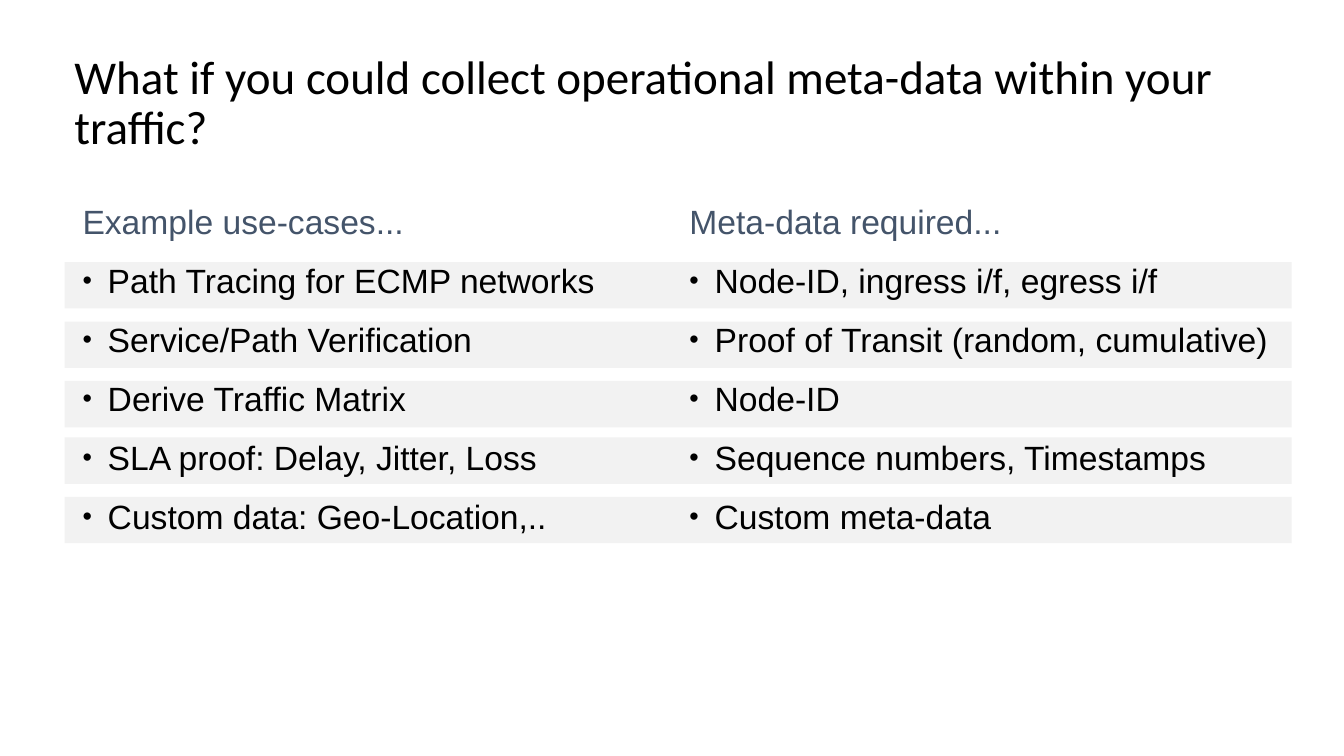
import pptx
import pptx.util
import pptx.dml.color
import pptx.enum.shapes
import pptx.enum.text
import pptx.oxml.ns
from lxml import etree
from pptx.util import Inches

COLORS = {"band": "F2F2F2", "heading": "44546A", "text": "000000"}
LEFT, WIDTH = 0.64, 12.17
BAND_TOPS = (2.6, 3.19, 3.78, 4.34, 4.93)
USE_CASES = (
    "Path Tracing for ECMP networks",
    "Service/Path Verification",
    "Derive Traffic Matrix",
    "SLA proof: Delay, Jitter, Loss",
    "Custom data: Geo-Location,..",
)
META_DATA = (
    "Node-ID, ingress i/f, egress i/f",
    "Proof of Transit (random, cumulative)",
    "Node-ID",
    "Sequence numbers, Timestamps",
    "Custom meta-data",
)


def rgb(name):
    """Return the named colour."""
    return pptx.dml.color.RGBColor.from_string(COLORS[name])


def add_band(s, top):
    """Add one grey row band."""
    sp = s.shapes.add_shape(pptx.enum.shapes.MSO_SHAPE.RECTANGLE,
                            Inches(LEFT), Inches(top), Inches(WIDTH), Inches(0.46))
    sp.shadow.inherit = False
    sp.fill.solid()
    sp.fill.fore_color.rgb = rgb("band")
    sp.line.fill.background()


def add_box(s, left, top, width, height):
    """Add a wrapping text box and return its text frame."""
    tf = s.shapes.add_textbox(Inches(left), Inches(top), Inches(width), Inches(height)).text_frame
    tf.word_wrap = True
    return tf


def add_run(p, text, size, font, color):
    """Add a formatted run to a paragraph."""
    r = p.add_run()
    r.text = text
    r.font.size = pptx.util.Pt(size)
    r.font.name = font
    r.font.color.rgb = rgb(color)


def set_indent(p, left, first=0.0):
    """Set the left margin and first-line indent."""
    pPr = p._p.get_or_add_pPr()
    pPr.set("marL", str(Inches(left)))
    pPr.set("indent", str(Inches(first)))


def add_bullet(p):
    """Give a paragraph a small black bullet."""
    pPr = p._p.get_or_add_pPr()
    qn = pptx.oxml.ns.qn
    color = etree.SubElement(pPr, qn("a:buClr"))
    etree.SubElement(color, qn("a:srgbClr"), val=COLORS["text"])
    etree.SubElement(pPr, qn("a:buSzPct"), val="80000")
    etree.SubElement(pPr, qn("a:buFont"), typeface="Arial")
    etree.SubElement(pPr, qn("a:buChar"), char="•")


def add_column(s, left, width, heading, items):
    """Add a heading with its bulleted items."""
    tf = add_box(s, left, 1.97, width, 4.5)
    for i, text in enumerate((heading, *items)):
        p = tf.paragraphs[0] if i == 0 else tf.add_paragraph()
        p.line_spacing = 0.95
        p.space_before = pptx.util.Pt(14.8)
        if i == 0:
            set_indent(p, 0.08)
        else:
            set_indent(p, 0.33, -0.25)
            add_bullet(p)
        add_run(p, text, 24, "Arial", "text" if i else "heading")


def add_title(s, text):
    """Add the slide title."""
    tf = add_box(s, LEFT, 0.5, WIDTH, 1.07)
    tf.vertical_anchor = pptx.enum.text.MSO_ANCHOR.MIDDLE
    p = tf.paragraphs[0]
    p.line_spacing = 0.9
    add_run(p, text, 33.6, "Calibri", "text")


def main():
    """Build and save the slide."""
    prs = pptx.Presentation()
    prs.slide_width, prs.slide_height = Inches(13.33), Inches(7.5)
    s = prs.slides.add_slide(prs.slide_layouts[6])
    for top in BAND_TOPS:
        add_band(s, top)
    add_column(s, LEFT, 5.69, "Example use-cases...", USE_CASES)
    add_column(s, 6.66, 6.15, "Meta-data required...", META_DATA)
    add_title(s, "What if you could collect operational meta-data within your traffic?")
    prs.save("out.pptx")


if __name__ == "__main__":
    main()
